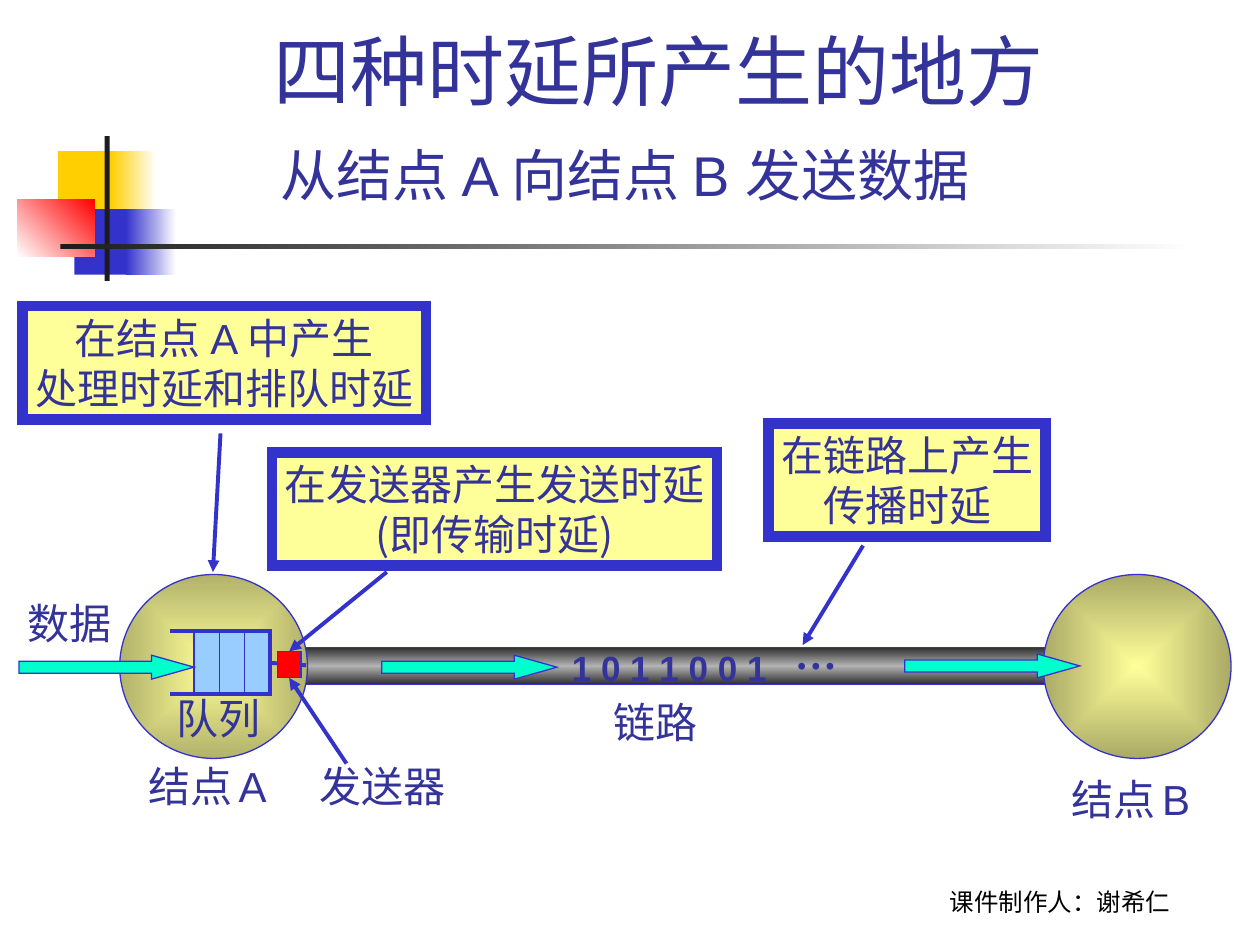
from dataclasses import dataclass
from typing import Optional, Union

from lxml.etree import SubElement
from pptx import Presentation
from pptx.dml.color import RGBColor
from pptx.enum.shapes import MSO_CONNECTOR as Wire, MSO_SHAPE as Preset
from pptx.enum.text import MSO_ANCHOR as Anchor, MSO_AUTO_SIZE as Fit, PP_ALIGN as Align
from pptx.oxml.ns import qn
from pptx.util import Pt

PX = 9144  # 100 px to the inch
BLUE, INK, YELLOW, BLACK, WHITE = "3333CC", "333399", "FFFF99", "1C1C1C", "FFFFFF"
SERIF, SANS, CJK = "Times New Roman", "Arial", "Noto Sans CJK SC"
TOP, BOTTOM, RIGHT = 0, 2, 3


@dataclass
class Gradient:
    """Evenly spaced colours; with no angle they spread from the centre."""
    colors: tuple[str, ...]
    angle: Optional[int] = 0


@dataclass
class Block:
    box: tuple[int, int, int, int]
    fill: Union[str, Gradient]
    line: Optional[str] = BLUE
    weight: float = 0.75
    preset: Preset = Preset.RECTANGLE


@dataclass
class Span:
    text: str
    size: int = 24
    font: str = SERIF
    bold: bool = False
    color: str = INK


@dataclass
class Label:
    box: tuple[int, int, int, int]
    spans: list[Span]


@dataclass
class Callout:
    box: tuple[int, int, int, int]
    lines: list[list[Span]]


def emu(*lengths: int) -> list[int]:
    return [length * PX for length in lengths]


def rgb(value: str) -> RGBColor:
    return RGBColor.from_string(value)


def apply_gradient(shape, gradient: Gradient) -> None:
    grad = shape.element.spPr.makeelement(qn("a:gradFill"), {"rotWithShape": "1"})
    shape.element.spPr.find(qn("a:prstGeom")).addnext(grad)
    stops = SubElement(grad, qn("a:gsLst"))
    step = 100000 // (len(gradient.colors) - 1)
    for index, color in enumerate(gradient.colors):
        stop = SubElement(stops, qn("a:gs"), pos=str(index * step))
        SubElement(stop, qn("a:srgbClr"), val=color)
    if gradient.angle is None:
        centre = SubElement(grad, qn("a:path"), {"path": "rect"})
        SubElement(centre, qn("a:fillToRect"), {side: "50000" for side in "ltrb"})
    else:
        SubElement(grad, qn("a:lin"), ang=str(gradient.angle * 60000), scaled="0")


def set_line(shape, color: str, weight: float) -> None:
    """Colour and width, with square corners."""
    shape.line.color.rgb = rgb(color)
    shape.line.width = Pt(weight)
    SubElement(shape.line._get_or_add_ln(), qn("a:miter"), lim="800000")


def add_block(page, block: Block):
    shape = page.shapes.add_shape(block.preset, *emu(*block.box))
    shape.shadow.inherit = False
    if isinstance(block.fill, Gradient):
        apply_gradient(shape, block.fill)
    else:
        shape.fill.solid()
        shape.fill.fore_color.rgb = rgb(block.fill)
    if block.line:
        set_line(shape, block.line, block.weight)
    else:
        shape.line.fill.background()
    return shape


def add_flow_arrow(page, left: int, top: int) -> None:
    arrow = add_block(page, Block((left, top, 139, 19), "00FFCC", preset=Preset.RIGHT_ARROW))
    arrow.adjustments[1] = 1.78


def add_line(page, start: tuple[int, int], end: tuple[int, int],
             weight: float = 2.25, arrow: bool = False):
    line = page.shapes.add_connector(Wire.STRAIGHT, *emu(*start, *end))
    set_line(line, BLUE, weight)
    if arrow:
        SubElement(line.line._get_or_add_ln(), qn("a:tailEnd"), type="triangle")
    SubElement(line.element.spPr, qn("a:effectLst"))
    return line


def write_spans(para, spans: list[Span]) -> None:
    for span in spans:
        run = para.add_run()
        run.text = span.text
        run.font.size = Pt(span.size)
        run.font.bold = span.bold
        run.font.color.rgb = rgb(span.color)
        run.font.name = span.font
        SubElement(run.font._element, qn("a:ea"), typeface=CJK)


def add_label(page, label: Label):
    box = page.shapes.add_textbox(*emu(*label.box))
    box.text_frame.word_wrap = False
    box.text_frame.auto_size = Fit.SHAPE_TO_FIT_TEXT
    write_spans(box.text_frame.paragraphs[0], label.spans)
    return box


def add_heading(page, label: Label) -> None:
    """Centred text that stands on the bottom of its box."""
    frame = add_label(page, label).text_frame
    frame.word_wrap = True
    frame.auto_size = Fit.NONE
    frame.vertical_anchor = Anchor.BOTTOM
    frame.paragraphs[0].alignment = Align.CENTER


def add_callout(page, callout: Callout) -> None:
    frame = add_block(page, Block(callout.box, YELLOW, weight=6)).text_frame
    frame.word_wrap = False
    frame.auto_size = Fit.SHAPE_TO_FIT_TEXT
    frame.vertical_anchor = Anchor.TOP
    for index, spans in enumerate(callout.lines):
        para = frame.add_paragraph() if index else frame.paragraphs[0]
        para.alignment = Align.CENTER
        write_spans(para, spans)


def add_queue(page):
    left, top, right, bottom = 154, 501, 213, 551
    queue = add_block(page, Block((left, top, right - left, bottom - top), "99CCFF"))
    builder = page.shapes.build_freeform(135, top, scale=PX)
    builder.add_line_segments([(214, top), (214, bottom), (135, bottom)], close=False)
    rail = builder.convert_to_shape()
    rail.shadow.inherit = False
    rail.fill.background()
    set_line(rail, BLUE, 2.25)
    for x in range(left, right, 20):
        add_line(page, (x, top), (x, bottom), 0.75)
    return queue


def node_name(letter: str) -> list[Span]:
    return [Span("结点"), Span(" ", 16, SANS), Span(letter, font=SANS)]


ORNAMENTS = [
    Block((46, 120, 48, 52), "FFCF01", None),
    Block((88, 120, 36, 52), Gradient(("FFCF01", WHITE)), None),
    Block((59, 166, 46, 52), BLUE, None),
    Block((100, 166, 40, 52), Gradient((BLUE, WHITE)), None),
    Block((14, 158, 61, 46), Gradient((WHITE, "FF0000"), 315), None),
    Block((83, 108, 4, 115), BLACK, None),
    Block((48, 194, 900, 4), Gradient((BLACK, WHITE)), None),
]
NETWORK = [
    Block((234, 514, 604, 29), Gradient(("313131", "B2B2B2", "313131"), 90)),
    Block((95, 456, 149, 146), Gradient((YELLOW, "B2B26B"), None), preset=Preset.OVAL),
    Block((828, 456, 149, 146), Gradient((YELLOW, "AAAA66"), None), preset=Preset.OVAL),
]
HEADINGS = [
    Label((683, 682, 317, 50), [Span("课件制作人：谢希仁", 14, "Karla", color="000000")]),
    Label((138, 13, 784, 84), [Span("四种时延所产生的地方 ", 44, SANS)]),
]
LABELS = [
    Label((213, 107, 622, 64), [Span("从结点 A 向结点 B 发送数据", 32, SANS)]),
    Label((444, 508, 175, 44), [Span("1 0 1 1 0 0 1", 20, SANS, True)]),
    Label((621, 493, 53, 50), [Span("…", bold=True)]),
    Label((244, 599, 124, 50), [Span("发送器")]),
    Label((130, 545, 90, 50), [Span("队列")]),
    Label((12, 469, 90, 50), [Span("数据")]),
    Label((477, 548, 90, 50), [Span("链路")]),
    Label((108, 599, 126, 50), node_name("A")),
    Label((841, 609, 126, 50), node_name("B")),
]
CALLOUTS = [
    Callout((610, 336, 220, 90), [[Span("在链路上产生", font=CJK)], [Span("传播时延", font=CJK)]]),
    Callout((216, 359, 353, 90), [[Span("在发送器产生发送时延", font=CJK)],
                                  [Span("(即传输时延)", font=CJK)]]),
    Callout((18, 243, 320, 90), [
        [Span("在结点 ", font=CJK), Span("A ", font=SANS), Span("中产生", font=CJK)],
        [Span("处理时延和排队时延", font=CJK)]]),
]


def main() -> None:
    deck = Presentation()
    deck.slide_width, deck.slide_height = emu(1000, 750)
    page = deck.slides.add_slide(deck.slide_layouts[6])
    for block in ORNAMENTS:
        add_block(page, block)
    for heading in HEADINGS:
        add_heading(page, heading)
    for block in NETWORK:
        add_block(page, block)

    queue = add_queue(page)
    add_line(page, (213, 527), (243, 528)).begin_connect(queue, RIGHT)
    sender = add_block(page, Block((220, 517, 19, 21), "FF0000"))
    for left, top in ((303, 520), (15, 520), (718, 519)):
        add_flow_arrow(page, left, top)
    for label in LABELS:
        add_label(page, label)
    for callout in CALLOUTS:
        add_callout(page, callout)

    add_line(page, (685, 433), (637, 512), arrow=True)
    add_line(page, (175, 344), (169, 454), arrow=True)
    add_line(page, (307, 454), (229, 517), arrow=True).end_connect(sender, TOP)
    add_line(page, (275, 606), (229, 538), arrow=True).end_connect(sender, BOTTOM)
    deck.save("out.pptx")


if __name__ == "__main__":
    main()
